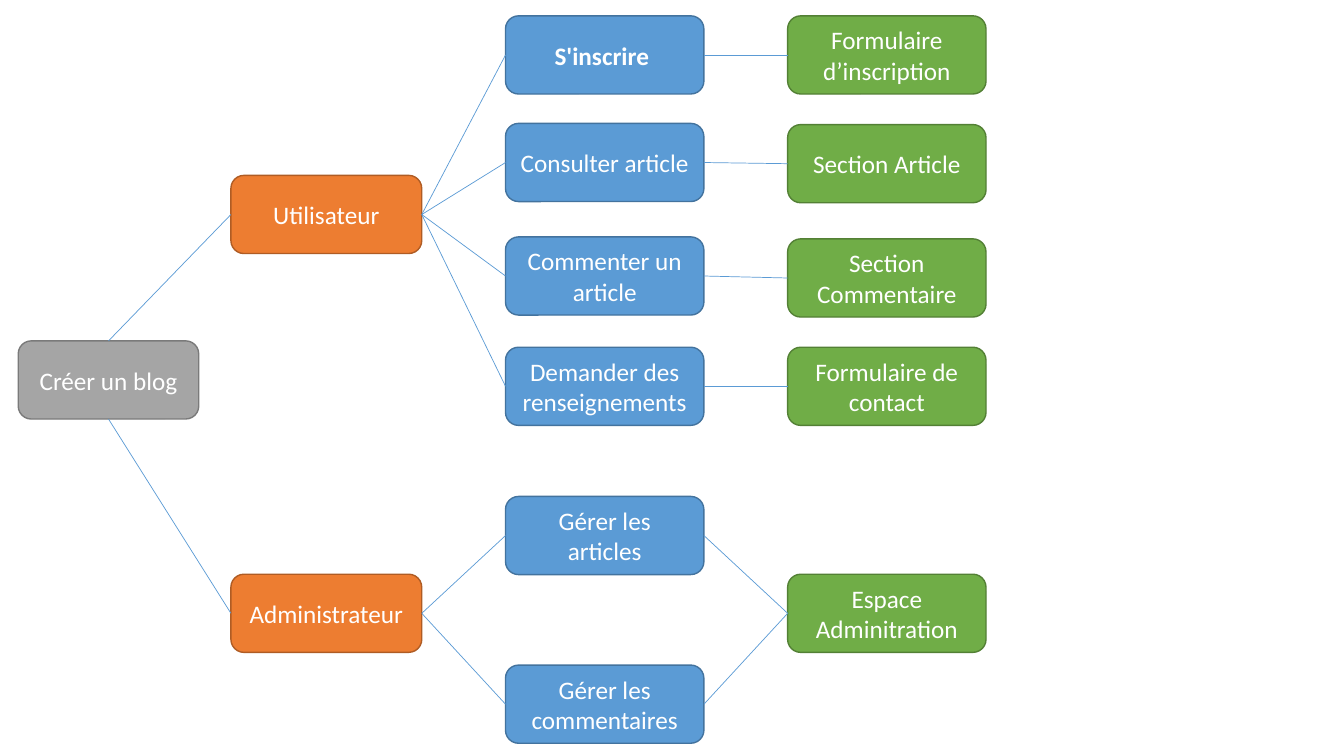
"""Draw the functional tree of a blog project."""
import dataclasses

import pptx
import pptx.dml.color
import pptx.enum.shapes
import pptx.enum.text
import pptx.oxml
import pptx.oxml.ns
import pptx.util

Cm = pptx.util.Cm
Pt = pptx.util.Pt
TOP, LEFT, BOTTOM, RIGHT = range(4)  # connection sites of a rounded rectangle


@dataclasses.dataclass(frozen=True)
class Level:
    """Place and colours shared by the boxes of one column, in centimetres."""
    left: float
    width: float
    fill: str
    outline: str


@dataclasses.dataclass(frozen=True)
class Theme:
    """Colours, type and sizes of the slide."""
    font: str = "Calibri"
    text_size: float = 18
    text_color: str = "FFFFFF"
    link_color: str = "5B9BD5"
    link_width: float = 0.5
    outline_width: float = 1
    box_height: float = 1.97
    goal: Level = Level(0.46, 4.55, "A5A5A5", "7A7A7A")
    actor: Level = Level(5.82, 4.81, "ED7D31", "AF5C24")
    action: Level = Level(12.74, 5, "5B9BD5", "43739E")
    section: Level = Level(19.85, 5, "70AD47", "538035")


def color(code):
    """Turn a hexadecimal code into a colour."""
    return pptx.dml.color.RGBColor.from_string(code)


class TreeSlide:
    """Hold the theme and the current slide, and draw the tree on it."""

    def __init__(self, page, theme):
        """Keep the slide and its style."""
        self.page = page
        self.theme = theme

    def box(self, level, top, text, bold=None):
        """Add a labelled rounded box in the column of a level."""
        theme = self.theme
        shape = self.page.shapes.add_shape(
            pptx.enum.shapes.MSO_SHAPE.ROUNDED_RECTANGLE,
            Cm(level.left), Cm(top), Cm(level.width), Cm(theme.box_height))
        shape.shadow.inherit = False
        shape.fill.solid()
        shape.fill.fore_color.rgb = color(level.fill)
        shape.line.color.rgb = color(level.outline)
        shape.line.width = Pt(theme.outline_width)
        frame = shape.text_frame
        frame.word_wrap = True
        frame.vertical_anchor = pptx.enum.text.MSO_ANCHOR.MIDDLE
        para = frame.paragraphs[0]
        para.alignment = pptx.enum.text.PP_ALIGN.CENTER
        span = para.add_run()
        span.text = text
        span.font.name = theme.font
        span.font.size = Pt(theme.text_size)
        span.font.bold = bold
        span.font.color.rgb = color(theme.text_color)
        return shape

    def link(self, parent, child, site=RIGHT):
        """Join a site of the parent box to the left side of the child box."""
        line = self.page.shapes.add_connector(
            pptx.enum.shapes.MSO_CONNECTOR.STRAIGHT, 0, 0, 0, 0)
        line.begin_connect(child, LEFT)
        line.end_connect(parent, site)
        line.line.color.rgb = color(self.theme.link_color)
        line.line.width = Pt(self.theme.link_width)
        properties = line._element.spPr
        properties.append(pptx.oxml.parse_xml(
            "<a:effectLst %s/>" % pptx.oxml.ns.nsdecls("a")))


def build_tree(slide):
    """Draw the goal, its actors, their actions and the matching sections."""
    theme = slide.theme
    goal = slide.box(theme.goal, 8.59, "Créer un blog")
    user = slide.box(theme.actor, 4.42, "Utilisateur")
    admin = slide.box(theme.actor, 14.47, "Administrateur")
    slide.link(goal, user, TOP)
    slide.link(goal, admin, BOTTOM)

    user_rows = [
        (0.4, "S'inscrire\u00a0", True, 0.4, "Formulaire d’inscription"),
        (3.11, "Consulter article", None, 3.14, "Section Article"),
        (5.97, "Commenter un article", None, 6.02, "Section Commentaire"),
        (8.75, "Demander des renseignements", None, 8.75, "Formulaire de contact"),
    ]
    for action_top, action_text, bold, section_top, section_text in user_rows:
        action = slide.box(theme.action, action_top, action_text, bold)
        section = slide.box(theme.section, section_top, section_text)
        slide.link(user, action)
        slide.link(action, section)

    admin_area = slide.box(theme.section, 14.47, "Espace Adminitration")
    for top, text in [(12.51, "Gérer les articles"), (16.76, "Gérer les commentaires")]:
        action = slide.box(theme.action, top, text)
        slide.link(admin, action)
        slide.link(action, admin_area)


def main():
    """Create the deck and save it."""
    deck = pptx.Presentation()
    deck.slide_width, deck.slide_height = Cm(33.87), Cm(19.05)
    page = deck.slides.add_slide(deck.slide_layouts[6])
    build_tree(TreeSlide(page, Theme()))
    deck.save("out.pptx")


main()
